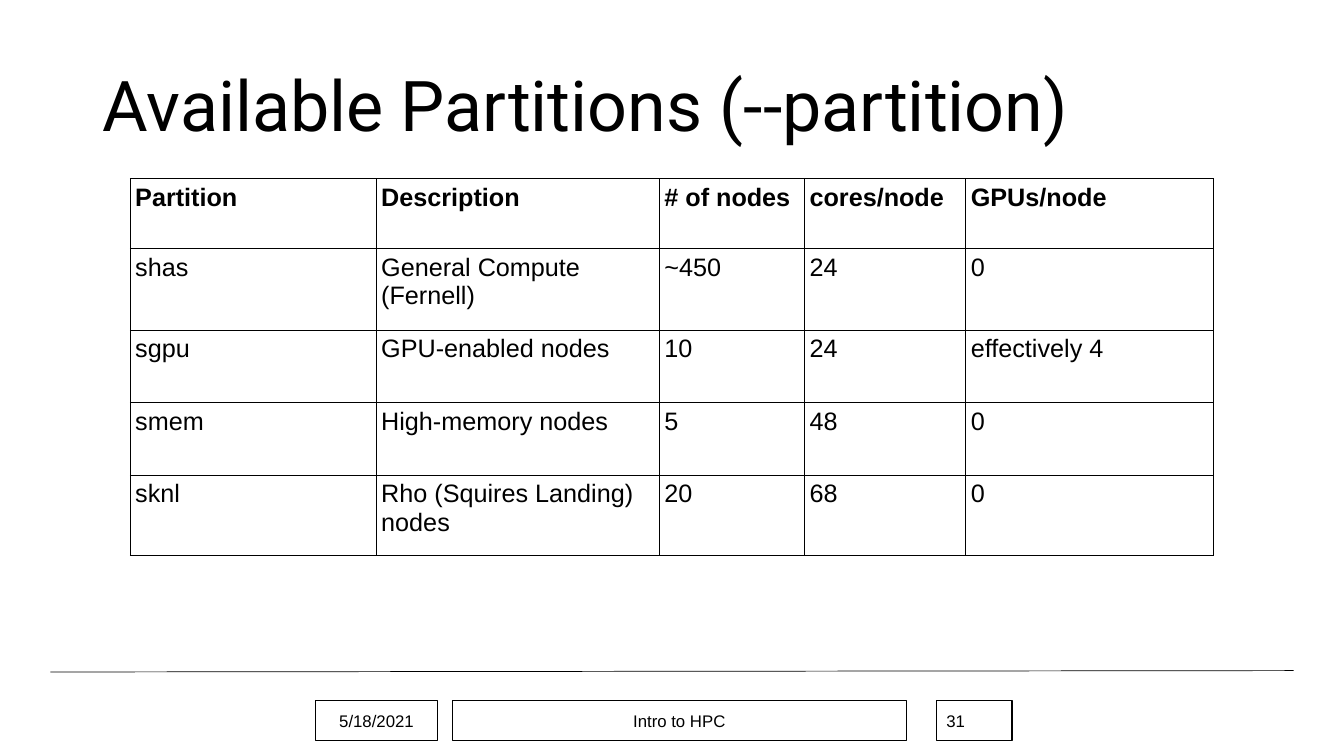
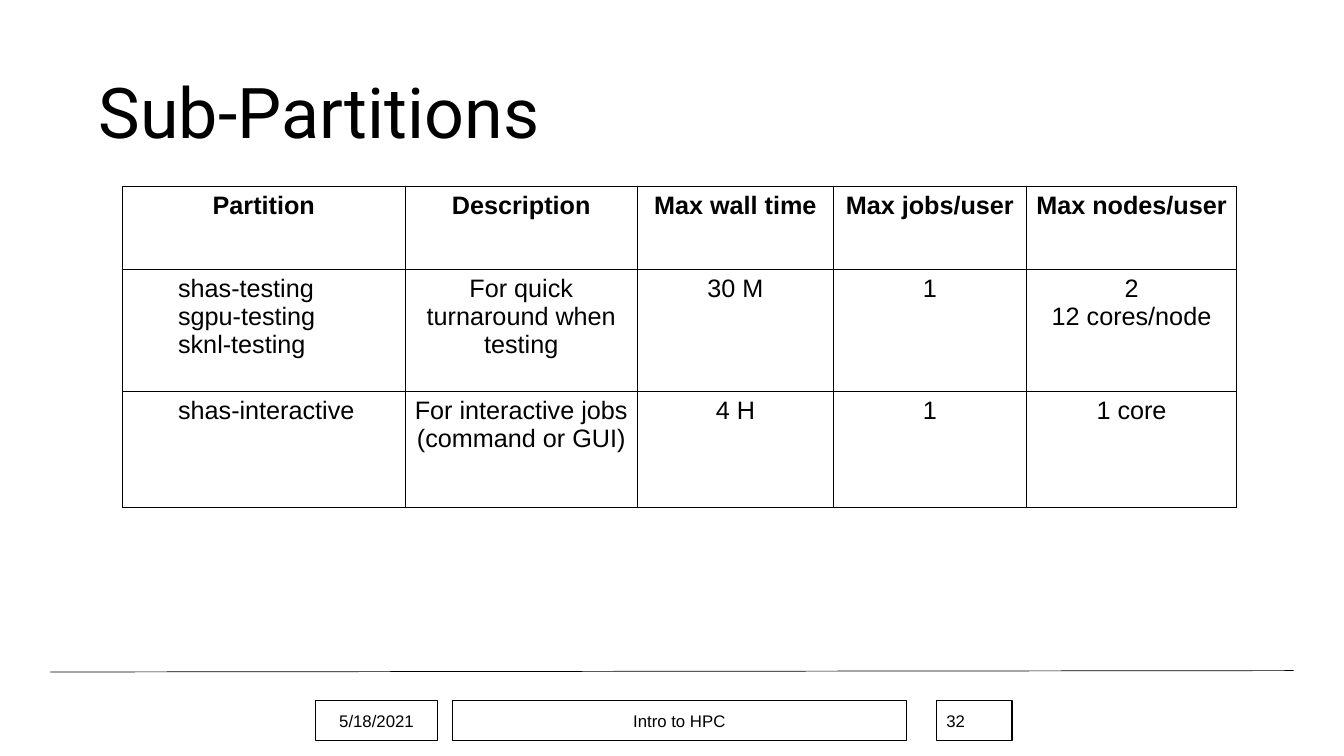
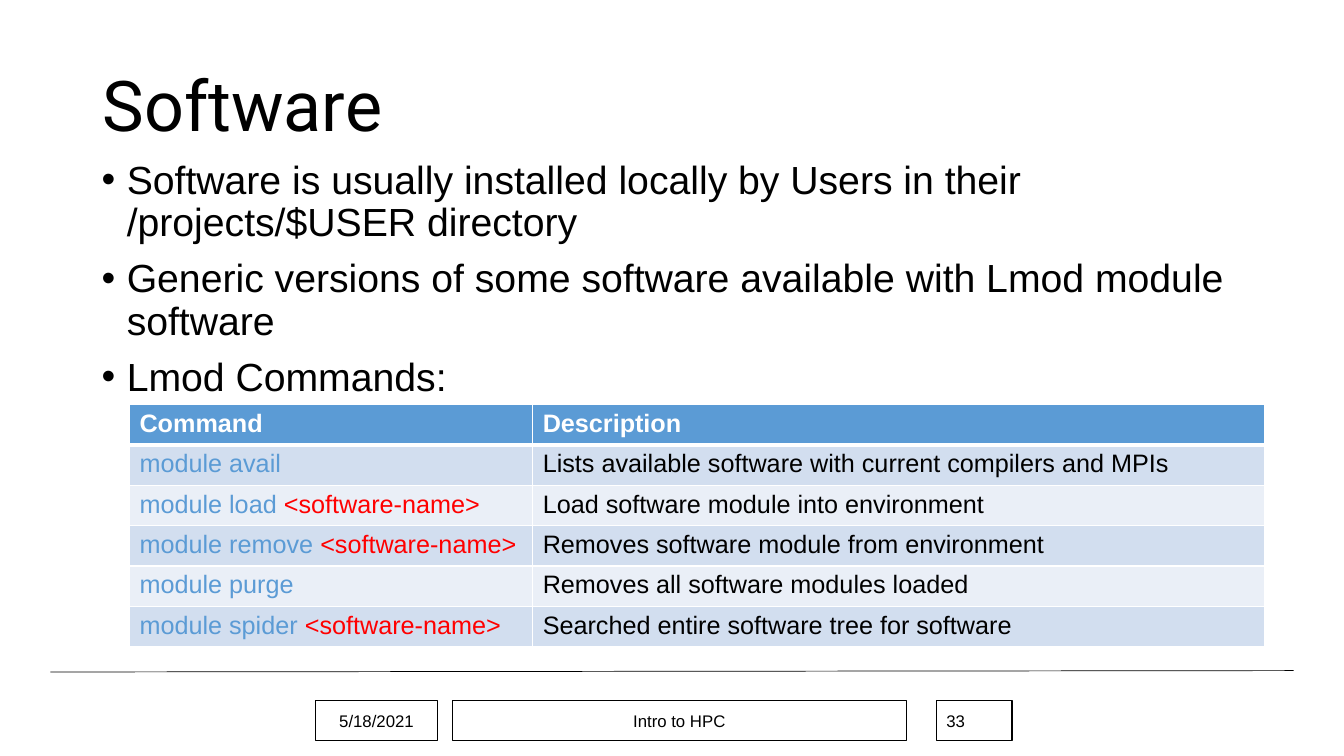
from dataclasses import dataclass

from lxml import etree
from pptx import Presentation
from pptx.dml.color import RGBColor
from pptx.enum import shapes, text
from pptx.oxml import ns
from pptx.util import Pt

LEFT, MID = text.PP_ALIGN.LEFT, text.PP_ALIGN.CENTER


@dataclass(frozen=True)
class Theme:
    ink: str = "000000"
    paper: str = "FFFFFF"
    blue: str = "5B9BD5"
    red: str = "FF0000"
    bands: tuple = ("EAEFF7", "D2DEEF")
    sans: str = "Arial"
    head: str = "Roboto"
    title: int = 50
    body: int = 28
    cell: int = 18
    foot: int = 12


def rgb(tone):
    return RGBColor.from_string(tone)


def sub(node, tag, **attrs):
    return etree.SubElement(node, ns.qn(tag), **attrs)


def edge(cell, sides, tone, width):
    """Draw cell borders; must run before the cell gets its fill."""
    props = cell._tc.get_or_add_tcPr()
    for side in sides:
        line = sub(props, "a:ln" + side, w=str(Pt(width)))
        sub(sub(line, "a:solidFill"), "a:srgbClr", val=tone)


class Deck:
    def __init__(self, theme, date, topic):
        self.look, self.date, self.topic = theme, date, topic
        self.file = Presentation()
        self.file.slide_width, self.file.slide_height = Pt(960), Pt(540)
        self.slide = None

    def font(self, par, size, tone=None, bold=False, name=None):
        font = par.font
        font.name, font.size, font.bold = name or self.look.sans, Pt(size), bold
        font.color.rgb = rgb(tone or self.look.ink)

    def page(self, title, number, x=66.2, y=25.2, w=815):
        self.slide = self.file.slides.add_slide(self.file.slide_layouts[5])
        box = self.slide.shapes.title
        box.left, box.top, box.width, box.height = Pt(x), Pt(y), Pt(w), Pt(104.4)
        frame = box.text_frame
        frame.text, frame.word_wrap = title, True
        frame.auto_size = text.MSO_AUTO_SIZE.NONE
        frame.vertical_anchor = text.MSO_ANCHOR.MIDDLE
        par = frame.paragraphs[0]
        par.alignment, par.line_spacing = LEFT, 0.9
        self.font(par, self.look.title, name=self.look.head)
        self.rule()
        self.label(225.4, 87.1, self.date)
        self.label(323.3, 324, self.topic)
        self.label(668.9, 54, str(number), LEFT)

    def rule(self):
        line = self.slide.shapes.add_connector(
            shapes.MSO_CONNECTOR.STRAIGHT, Pt(36), Pt(480), Pt(924), Pt(479))
        line.line.width = Pt(0.5)
        line.line.color.rgb = rgb(self.look.ink)
        sub(line._element.spPr, "a:effectLst")

    def label(self, x, w, words, align=MID):
        """Add one framed box to the footer row."""
        box = self.slide.shapes.add_shape(
            shapes.MSO_SHAPE.RECTANGLE, Pt(x), Pt(500.4), Pt(w), Pt(28.8))
        box.shadow.inherit = False
        box.fill.background()
        box.line.width = Pt(0.75)
        box.line.color.rgb = rgb(self.look.ink)
        box.text_frame.text = words
        box.text_frame.vertical_anchor = text.MSO_ANCHOR.MIDDLE
        par = box.text_frame.paragraphs[0]
        par.alignment = align
        self.font(par, self.look.foot)

    def bullets(self, x, y, w, h, items):
        frame = self.slide.shapes.add_textbox(Pt(x), Pt(y), Pt(w), Pt(h)).text_frame
        frame.text, frame.word_wrap = "\n".join(items), True
        for i, par in enumerate(frame.paragraphs):
            par.line_spacing, par.space_before = 0.9, Pt(10 if i else 0)
            props = par._p.get_or_add_pPr()
            props.set("marL", str(Pt(18)))
            props.set("indent", str(-Pt(18)))
            sub(props, "a:buFont", typeface=self.look.sans)
            sub(props, "a:buChar", char="•")
            self.font(par, self.look.body)

    def table(self, x, y, cols, highs, rows):
        """Add a bare table and return its rows of cells."""
        grid = self.slide.shapes.add_table(
            len(rows), len(cols), Pt(x), Pt(y), Pt(sum(cols)), Pt(sum(highs))).table
        grid.first_row = grid.horz_banding = False
        for col, wide in zip(grid.columns, cols):
            col.width = Pt(wide)
        for row, high, words in zip(grid.rows, highs, rows):
            row.height = Pt(high)
            for cell, word in zip(row.cells, words):
                cell.text = word
        return [list(row.cells) for row in grid.rows]

    def lined(self, x, y, cols, highs, rows, align=LEFT, inset=0):
        """Add a table with thin rules; inset indents the first body column."""
        for r, cells in enumerate(self.table(x, y, cols, highs, rows)):
            for c, cell in enumerate(cells):
                cell.margin_left = cell.margin_right = Pt(3.6)
                edge(cell, "LRTB", self.look.ink, 0.5)
                cell.fill.background()
                shift = inset if r and not c else 0
                for par in cell.text_frame.paragraphs:
                    par.alignment = LEFT if shift else align
                    if shift:
                        par._p.get_or_add_pPr().set("marL", str(Pt(shift)))
                    self.font(par, self.look.cell, bold=not r)

    def banded(self, x, y, cols, high, rows):
        """Add a table of commands, with arguments in <> picked out."""
        look = self.look
        for r, cells in enumerate(self.table(x, y, cols, [high] * len(rows), rows)):
            for c, cell in enumerate(cells):
                edge(cell, "LR", look.paper, 1)
                edge(cell, "T", look.paper, 3 if r == 1 else 1)
                edge(cell, "B", look.paper, 1 if r else 3)
                cell.fill.solid()
                cell.fill.fore_color.rgb = rgb(look.bands[r % 2] if r else look.blue)
                par = cell.text_frame.paragraphs[0]
                tone = look.ink if c else look.blue
                self.font(par, look.cell, tone if r else look.paper, not r)
                verb, mark, rest = rows[r][c].partition("<")
                if mark:
                    par.runs[0].text = verb
                    arg = par.add_run()
                    arg.text = mark + rest
                    arg.font.color.rgb = rgb(look.red)


def main():
    deck = Deck(Theme(), "5/18/2021", "Intro to HPC")

    deck.page("Available Partitions (--partition)", 31)
    deck.lined(93, 127.6, [175.7, 202.3, 103.7, 115.2, 177.1],
               [49.7, 58.5, 51.8, 51.8, 57.5], [
        ("Partition", "Description", "# of nodes", "cores/node", "GPUs/node"),
        ("shas", "General Compute (Fernell)", "~450", "24", "0"),
        ("sgpu", "GPU-enabled nodes", "10", "24", "effectively 4"),
        ("smem", "High-memory nodes", "5", "48", "0"),
        ("sknl", "Rho (Squires Landing) nodes", "20", "68", "0"),
    ])

    deck.page("Sub-Partitions", 32, 63.4, 30.2, 828)
    deck.lined(87.6, 133.2, [201.6, 166.3, 139.7, 138.2, 149.8], [59.4, 87.1, 82.8], [
        ("Partition", "Description", "Max wall time", "Max jobs/user",
         "Max nodes/user"),
        ("shas-testing\nsgpu-testing\nsknl-testing",
         "For quick turnaround when testing", "30 M", "1", "2\n12 cores/node"),
        ("shas-interactive", "For interactive jobs (command or GUI)",
         "4 H", "1", "1 core"),
    ], MID, 36)

    deck.page("Software", 33)
    deck.bullets(65.5, 110.9, 828, 327.6, [
        "Software is usually installed locally by Users in their "
        "/projects/$USER directory",
        "Generic versions of some software available with Lmod module software",
        "Lmod Commands:",
    ])
    deck.banded(92.5, 289, [288, 522.7], 27.3, [
        ("Command", "Description"),
        ("module avail", "Lists available software with current compilers and MPIs"),
        ("module load <software-name>", "Load software module into environment"),
        ("module remove <software-name>", "Removes software module from environment"),
        ("module purge", "Removes all software modules loaded"),
        ("module spider <software-name>", "Searched entire software tree for software"),
    ])
    deck.file.save("out.pptx")


if __name__ == "__main__":
    main()
